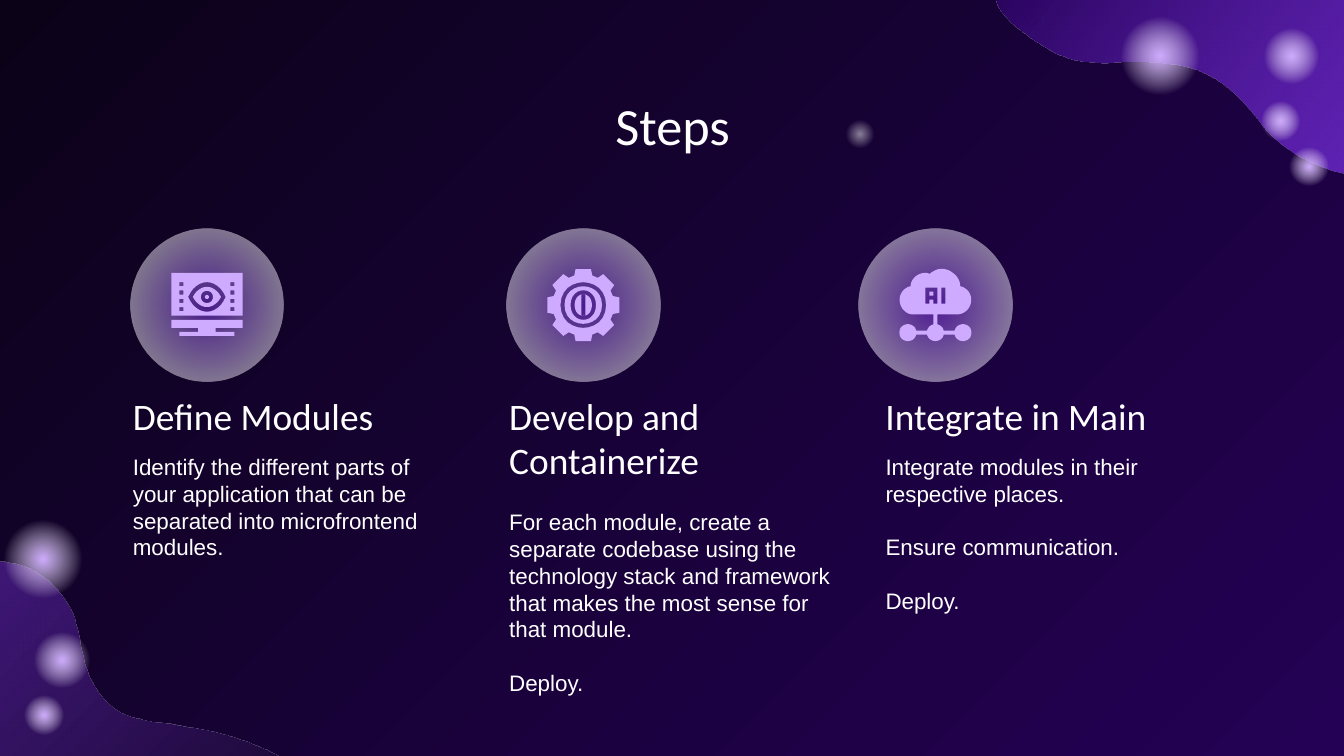
import math

import pptx
import pptx.dml.color
import pptx.enum.shapes
import pptx.enum.text
import pptx.oxml
import pptx.oxml.ns
import pptx.util

RGB = pptx.dml.color.RGBColor
WHITE = RGB(0xFF, 0xFF, 0xFF)
LILAC = RGB(0xCE, 0xAB, 0xFF)
VIOLET = RGB(0x81, 0x34, 0xEC)
INDIGO = RGB(0x24, 0x01, 0x55)
NIGHT = RGB(0x0B, 0x02, 0x18)
Inches = pptx.util.Inches
Pt = pptx.util.Pt
ANCHOR = pptx.enum.text.MSO_ANCHOR
ALIGN = pptx.enum.text.PP_ALIGN
OVAL = pptx.enum.shapes.MSO_SHAPE.OVAL

prs = pptx.Presentation()
prs.slide_width, prs.slide_height = Inches(10), Inches(10 * 9 / 16)
s = prs.slides.add_slide(prs.slide_layouts[5])


def write(sp, box, paragraphs, size=12, font="Arial", anchor=ANCHOR.TOP,
          align=ALIGN.LEFT, gap=0):
    sp.left, sp.top, sp.width, sp.height = map(Inches, box)
    tf = sp.text_frame
    tf.word_wrap = True
    tf.auto_size = pptx.enum.text.MSO_AUTO_SIZE.NONE
    tf.vertical_anchor = anchor
    tf.margin_left = tf.margin_right = tf.margin_top = tf.margin_bottom = Inches(0.1)
    for i, words in enumerate(paragraphs):
        p = tf.add_paragraph() if i else tf.paragraphs[0]
        p.alignment = align
        p.space_before = Pt(gap if i else 0)
        r = p.add_run()
        r.text = words
        r.font.size, r.font.name, r.font.color.rgb = Pt(size), font, WHITE


def outline(contours, rects=(), lenses=(), centre=(0, 0), unit=1):
    """Even-odd outline. A 2-tuple is a line end, a 6-tuple a Bezier segment.

    rects are x, y, w, h; lenses are cx, cy, rx, ry and control point spread.
    """
    contours = list(contours)
    contours += [[(x, y), (x + w, y), (x + w, y + h), (x, y + h)]
                 for x, y, w, h in rects]
    contours += [[(x - a, y),
                  (x - k * a, y - b * 4 / 3, x + k * a, y - b * 4 / 3, x + a, y),
                  (x + k * a, y + b * 4 / 3, x - k * a, y + b * 4 / 3, x - a, y)]
                 for x, y, a, b, k in lenses]
    builder = None
    for contour in contours:
        points = []
        for seg in contour:
            if len(seg) == 2:
                points.append(seg)
                continue
            nodes = [points[-1], seg[:2], seg[2:4], seg[4:]]
            for t in [n / 12 for n in range(1, 13)]:
                weights = [math.comb(3, j) * t**j * (1 - t)**(3 - j) for j in range(4)]
                points.append(tuple(sum(w * n[axis] for w, n in zip(weights, nodes))
                                    for axis in (0, 1)))
        points = [((centre[0] + x * unit) * 1000, (centre[1] + y * unit) * 1000)
                  for x, y in points]
        if builder is None:
            builder = s.shapes.build_freeform(*points[0], scale=914.4)
        else:
            builder.move_to(*points[0])
        builder.add_line_segments(points[1:], close=True)
    sp = builder.convert_to_shape()
    sp.shadow.inherit = False
    sp.line.fill.background()
    sp.fill.solid()
    sp.fill.fore_color.rgb = LILAC
    return sp


# Background
fill = s.background.fill
fill.gradient()
fill.gradient_angle = 315
for stop, color in zip(fill.gradient_stops, (NIGHT, INDIGO)):
    stop.color.rgb = color

# Corner waves; gradients holds shape, stops (position, colour, opacity), angle
gradients = []
left_wave = outline([[
    (-3.65, 2.84), (-2.97, 3.37), (-2.1, 3.29), (-1.42, 3.68), (-1.29, 4.51),
    (-0.59, 4.36), (-0.38, 4.2, -0.01, 4.1, 0.24, 4.24),
    (0.37, 4.31, 0.47, 4.43, 0.53, 4.55), (0.59, 4.69, 0.59, 4.84, 0.64, 4.98),
    (0.68, 5.1, 0.79, 5.26, 0.92, 5.31), (1.07, 5.37, 1.23, 5.37, 1.38, 5.4),
    (2, 5.48, 2.6, 5.85, 2.85, 6.4), (2.91, 6.66), (-3.75, 6.66)]])
right_wave = outline([[
    (10.18, -0.51), (9.35, -0.38), (8.48, -0.3), (7.87, -0.19),
    (7.76, -0.17, 7.46, -0.17, 7.42, -0.04), (7.37, 0.11, 7.73, 0.32, 7.83, 0.38),
    (8.02, 0.48, 8.19, 0.47, 8.39, 0.46), (8.61, 0.46, 8.81, 0.46, 9, 0.56),
    (9.17, 0.65, 9.29, 0.8, 9.4, 0.94), (9.53, 1.09, 9.69, 1.19, 9.87, 1.25),
    (10.03, 1.3, 10.25, 1.36, 10.42, 1.34), (10.36, 0.65)]])
gradients.append((left_wave, [(0, NIGHT, 100), (100, VIOLET, 70)], 225))
gradients.append((right_wave, [(0, VIOLET, 70), (100, INDIGO, 100)], 216))

# Glowing dots and icon discs: centre x, centre y, diameter, stops
glow = [(0, LILAC, 100), (57, WHITE, 0), (100, WHITE, 0)]
faint = [(0, WHITE, 50), (57, WHITE, 0), (100, WHITE, 0)]
disc = [(0, VIOLET, 49), (77, WHITE, 49), (100, WHITE, 49)]
icon_y = 2.27
icon_x = [1.54, 4.34, 6.96]
circles = [(8.63, 0.42, 0.72, glow), (9.74, 1.24, 0.36, glow),
           (9.53, 0.9, 0.36, glow), (9.61, 0.42, 0.51, glow),
           (0.46, 4.91, 0.51, glow), (0.32, 4.16, 0.72, glow),
           (0.33, 5.32, 0.36, glow)]
circles += [(x, icon_y, 1.14, disc) for x in icon_x]
circles.append((6.4, 1, 0.26, faint))
for x, y, d, stops in circles:
    sp = s.shapes.add_shape(OVAL, *map(Inches, (x - d / 2, y - d / 2, d, d)))
    sp.shadow.inherit = False
    sp.line.fill.background()
    gradients.append((sp, stops, None))

for sp, stops, angle in gradients:
    sp.fill.background()
    gs = "".join(f'<a:gs pos="{pos * 1000}"><a:srgbClr val="{color}">'
                 f'<a:alpha val="{alpha * 1000}"/></a:srgbClr></a:gs>'
                 for pos, color, alpha in stops)
    if angle is None:
        direction = ('<a:path path="circle"><a:fillToRect l="50000" t="50000" '
                     'r="50000" b="50000"/></a:path>')
    else:
        direction = f'<a:lin ang="{angle * 60000}" scaled="0"/>'
    grad = pptx.oxml.parse_xml(
        f'<a:gradFill {pptx.oxml.ns.nsdecls("a")} rotWithShape="1">'
        f'<a:gsLst>{gs}</a:gsLst>{direction}</a:gradFill>')
    spPr = sp._element.spPr
    spPr.replace(spPr.find(pptx.oxml.ns.qn("a:noFill")), grad)

# Title and the three steps
write(s.shapes.title, (0.79, 0.59, 8.43, 0.63), ["Steps"], size=28,
      font="Calibri", align=ALIGN.CENTER)
steps = [
    ("Define Modules", 2.62, 0.44, 3.27,
     ["Identify the different parts of your application that can be separated "
      "into microfrontend modules."]),
    ("Develop and Containerize", 2.62, 0.77, 3.68,
     ["For each module, create a separate codebase using the technology stack "
      "and framework that makes the most sense for that module.", "Deploy."]),
    ("Integrate in Main", 3.24, 0.44, 3.27,
     ["Integrate modules in their respective places.", "Ensure communication.",
      "Deploy."]),
]
for i, (heading, width, height, body_top, body) in enumerate(steps):
    x = 0.89 + 2.8 * i
    write(s.shapes.add_textbox(0, 0, 0, 0), (x, 2.92, width, height), [heading],
          size=20, font="Calibri", anchor=ANCHOR.BOTTOM)
    write(s.shapes.add_textbox(0, 0, 0, 0), (x, body_top, 2.62, 1.59), body,
          gap=14.4)

# Icons, in hundredths of an inch around the centre of each disc
monitor, gear, cloud = [{"centre": (x, icon_y), "unit": 0.01} for x in icon_x]
outline([[(-26.5, 11), (26.5, 11), (26.5, 17), (6.5, 17), (6.5, 20), (20.5, 20),
          (20.5, 23), (-20.5, 23), (-20.5, 20), (-6.5, 20), (-6.5, 17), (-26.5, 17)]],
        rects=[(-26.5, -24, 53, 32)] + [(x, -17 + 6.2 * row, 3, 3)
                                        for x in (-20.5, 17.5) for row in range(4)],
        lenses=[(0, -6, 14, 11, 0.55), (0, -6, 10.5, 7.5, 0.5),
                (0, -6, 4.5, 4.5, 1), (0, -6, 1.5, 1.5, 1)], **monitor)

tooth = [(-17, 23), (-12, 27.4), (12, 27.4), (17, 23)]
teeth = [(radius * math.sin(math.radians(45 * n + a)),
          -radius * math.cos(math.radians(45 * n + a)))
         for n in range(8) for a, radius in tooth]
outline([teeth], rects=[(-1.5, -7.9, 3, 15.8)],
        lenses=[(0, 0, rx, ry, 1)
                for rx, ry in ((17, 17), (14, 14), (9.5, 11), (6.5, 8))], **gear)

cloud_edge = [(-16.5, 7), (15.5, 7), (21.5, 7, 25.5, 3, 26.5, -2),
              (27.5, -8, 23.5, -13, 18.5, -14), (18.5, -21, 11.5, -27, 4.5, -27),
              (1.5, -27, -2.5, -25, -4.5, -23), (-5.5, -24, -6.5, -24, -7.5, -24),
              (-13.5, -24, -18.5, -19, -18.5, -14), (-23.5, -13, -27.5, -8, -26.5, -2),
              (-25.5, 3, -21.5, 7, -16.5, 7)]
letter_a = [(-7.5, -1), (-7.5, -13), (1.5, -13), (1.5, -1), (-1.5, -1), (-1.5, -4),
            (-4.5, -4), (-4.5, -1)]
outline([cloud_edge, letter_a],
        rects=[(-4.5, -10, 3, 3), (4.5, -13, 3, 12), (-1.5, 7, 3, 7.2),
               (-14.2, 19, 8, 3), (6.2, 19, 8, 3)],
        lenses=[(x, 20.5, 6.3, 6.3, 1) for x in (-20.5, 0, 20.5)], **cloud)

prs.save("out.pptx")
